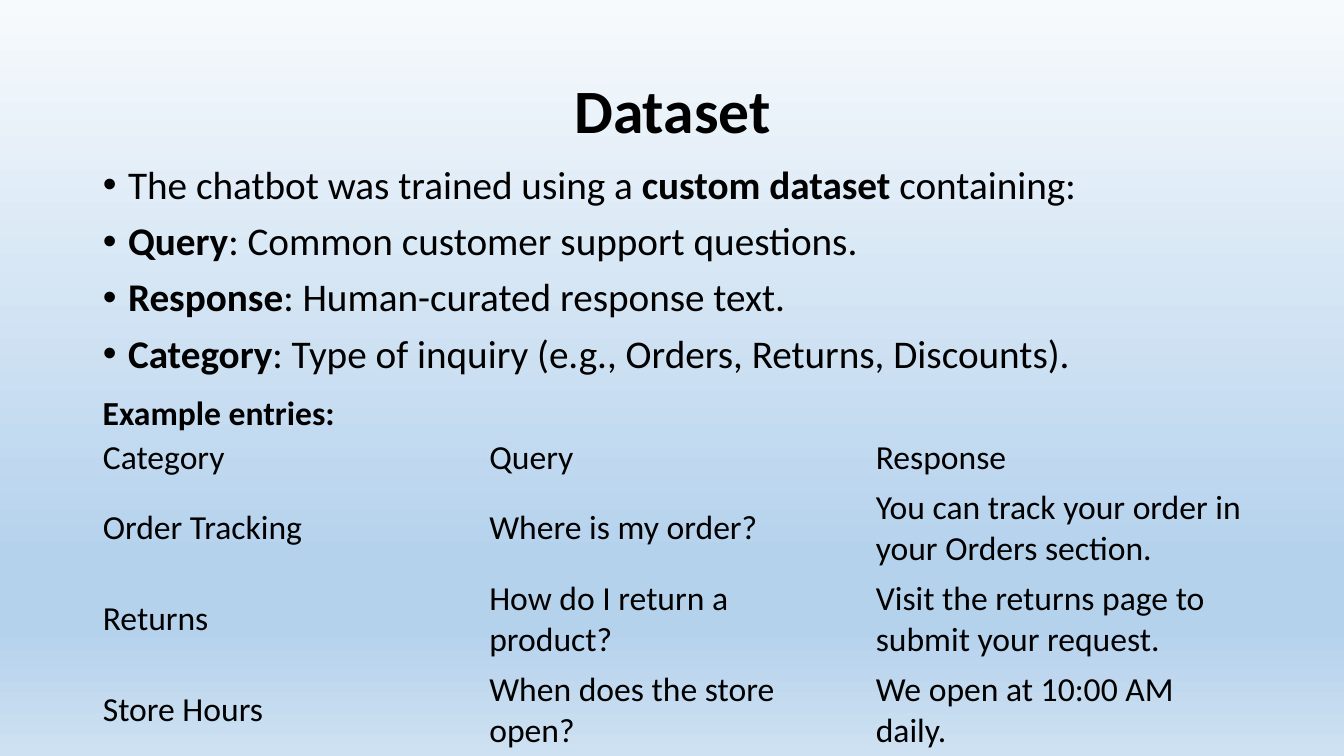
from copy import deepcopy

from lxml import etree
from pptx import Presentation
from pptx.dml.color import RGBColor
from pptx.enum.text import MSO_ANCHOR, MSO_AUTO_SIZE, PP_ALIGN
from pptx.oxml.ns import qn
from pptx.util import Inches, Pt

MIDDLE, TOP = MSO_ANCHOR.MIDDLE, MSO_ANCHOR.TOP
LEFT, CENTER = PP_ALIGN.LEFT, PP_ALIGN.CENTER
NO_FIT, GROW = MSO_AUTO_SIZE.NONE, MSO_AUTO_SIZE.SHAPE_TO_FIT_TEXT
BLACK = RGBColor(0, 0, 0)
PALE = RGBColor(0xF7, 0xFA, 0xFD)
BLUE = RGBColor(0xB5, 0xD2, 0xEC)
MIST = RGBColor(0xCE, 0xE1, 0xF2)
STOPS = [(0, PALE), (0.74, BLUE), (0.83, BLUE), (1, MIST)]
PLAIN = "{2D5ABB26-0587-4C30-8999-92F81FD0307C}"
FONT = "Calibri"
WIDE, HIGH = Inches(13.33), Inches(7.5)
EDGE, SPAN = Inches(0.92), Inches(11.5)
INDENT = Inches(0.25)

POINTS = [
    "The chatbot was trained using a **custom dataset** containing:",
    "**Query**: Common customer support questions.",
    "**Response**: Human-curated response text.",
    "**Category**: Type of inquiry (e.g., Orders, Returns, Discounts).",
]
ENTRIES = [
    ("Category", "Query", "Response"),
    ("Order Tracking", "Where is my order?",
     "You can track your order in your Orders section."),
    ("Returns", "How do I return a product?",
     "Visit the returns page to submit your request."),
    ("Store Hours", "When does the store open?",
     "We open at 10:00 AM daily."),
]


def place(shape, top, height):
    """Set a shape across the content column."""
    shape.left, shape.top = EDGE, top
    shape.width, shape.height = SPAN, height


def bullet(para):
    """Give a paragraph a hanging round bullet."""
    props = para._p.get_or_add_pPr()
    props.set("marL", str(INDENT))
    props.set("indent", str(-INDENT))
    face = etree.SubElement(props, qn("a:buFont"))
    face.set("typeface", "Arial")
    mark = etree.SubElement(props, qn("a:buChar"))
    mark.set("char", "•")


def write(frame, lines, size=24, align=LEFT, space=0, lead=1, dots=False):
    """Fill a frame with lines, where double stars enclose bold words."""
    for row, line in enumerate(lines):
        para = frame.add_paragraph() if row else frame.paragraphs[0]
        if dots:
            bullet(para)
        para.alignment = align
        para.line_spacing = lead
        para.space_before = Pt(space if row else 0)
        for turn, part in enumerate(line.split("**")):
            if part:
                run = para.add_run()
                run.text = part
                run.font.name, run.font.size = FONT, Pt(size)
                run.font.bold = turn % 2 == 1
                run.font.color.rgb = BLACK


def paint(slide):
    """Shade the background from top to bottom."""
    fill = slide.background.fill
    fill.gradient()
    fill.gradient_angle = 270
    stops = slide.element.xpath(".//a:gsLst")[0]
    while len(stops) < len(STOPS):
        stops.append(deepcopy(stops[0]))
    for stop, (share, color) in zip(fill.gradient_stops, STOPS):
        stop.position = share
        stop.color.rgb = color


def head(slide, text):
    """Write the title."""
    title = slide.shapes.title
    place(title, Inches(0.4), Inches(1.45))
    title.text_frame.vertical_anchor = MIDDLE
    title.text_frame.auto_size = NO_FIT
    write(title.text_frame, [f"**{text}**"], size=44, align=CENTER, lead=0.9)


def points(slide, lines):
    """Write the bulleted list."""
    body = slide.placeholders[1]
    place(body, Inches(1.59), Inches(4.76))
    body.text_frame.vertical_anchor = TOP
    body.text_frame.auto_size = NO_FIT
    write(body.text_frame, lines, size=28, space=10, lead=0.9, dots=True)


def label(slide, text):
    """Write the heading above the table."""
    box = slide.shapes.add_textbox(EDGE, Inches(3.84), Inches(2.53), Inches(0.5))
    box.text_frame.word_wrap = False
    box.text_frame.auto_size = GROW
    write(box.text_frame, [f"**{text}**"])


def grid(slide, rows):
    """Lay out the entries in a table with no lines or fill."""
    frame = slide.shapes.add_table(
        len(rows), len(rows[0]), EDGE, Inches(4.29), SPAN, Inches(3.2))
    table = frame.table
    table.first_row = table.horz_banding = False
    table._tbl.tblPr.find(qn("a:tableStyleId")).text = PLAIN
    for r, row in enumerate(rows):
        table.rows[r].height = Inches(0.9 if r else 0.5)
        for c, text in enumerate(row):
            cell = table.cell(r, c)
            cell.fill.background()
            cell.vertical_anchor = MIDDLE
            write(cell.text_frame, [text])


def main():
    """Build and save the slide."""
    deck = Presentation()
    deck.slide_width, deck.slide_height = WIDE, HIGH
    slide = deck.slides.add_slide(deck.slide_layouts[1])
    paint(slide)
    head(slide, "Dataset")
    points(slide, POINTS)
    label(slide, "Example entries:")
    grid(slide, ENTRIES)
    deck.save("out.pptx")


if __name__ == "__main__":
    main()
